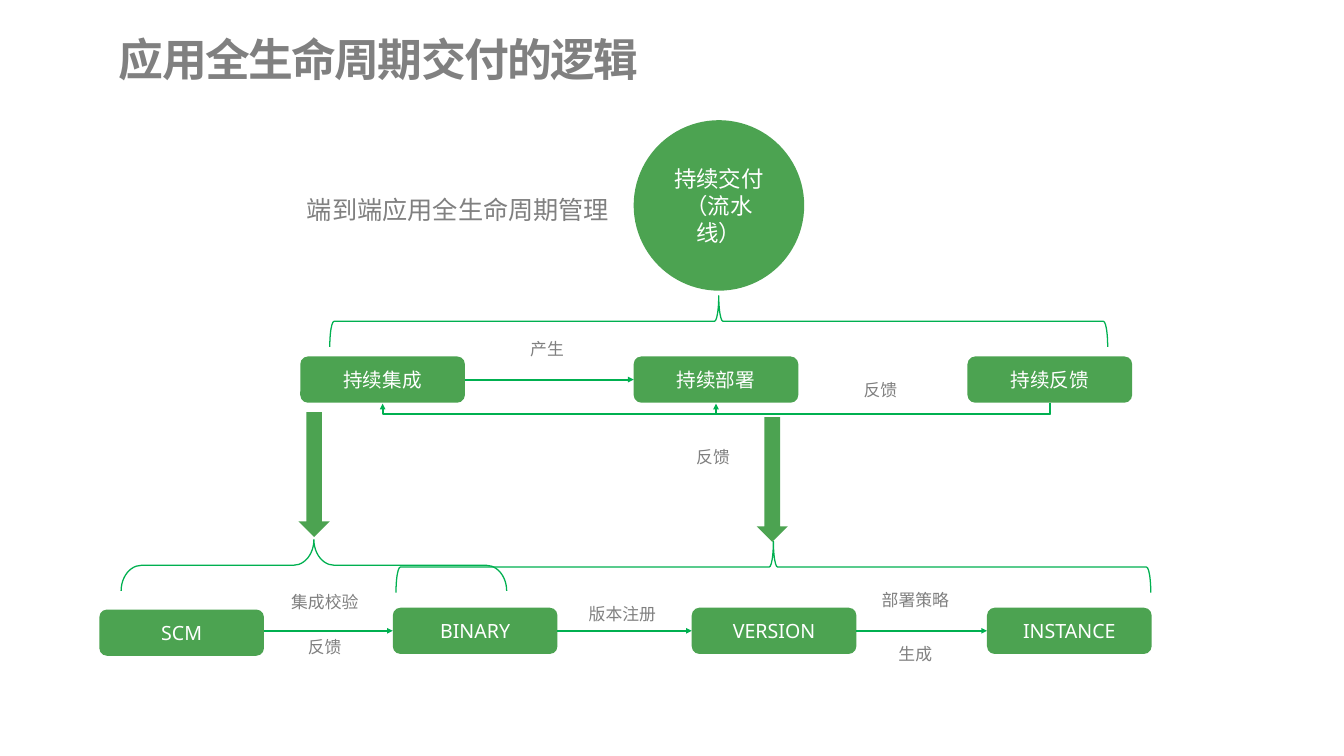
from lxml.etree import SubElement
from pptx import Presentation
from pptx.dml.color import RGBColor
from pptx.enum.shapes import MSO_CONNECTOR, MSO_SHAPE
from pptx.enum.text import MSO_ANCHOR, MSO_AUTO_SIZE, PP_ALIGN
from pptx.oxml.ns import qn
from pptx.util import Inches, Pt

GREEN_FILL = RGBColor(0x4C, 0xA3, 0x51)
GREEN_LINE = RGBColor(0x00, 0xB0, 0x50)
GREY = RGBColor(0x80, 0x80, 0x80)
WHITE = RGBColor(0xFF, 0xFF, 0xFF)
FONT = "Noto Sans"

BOX_WIDTH, BOX_HEIGHT = 3.63, 1.02
BRACE_DEPTH = 1.13
STAGE_TOP, ARTIFACT_TOP = 7.86, 13.4
STAGE_ARROW_Y, ARTIFACT_ARROW_Y = 8.37, 13.91


def add_run(paragraph, text, size, color, font=FONT):
    run = paragraph.add_run()
    run.text = text
    run.font.size = Pt(size)
    run.font.color.rgb = color
    run.font.name = font
    SubElement(run.font._element, qn("a:ea"), typeface=font)
    return run


def add_filled_shape(slide, kind, left, top, width, height, lines=(), size=31.1):
    shape = slide.shapes.add_shape(
        kind, Inches(left), Inches(top), Inches(width), Inches(height))
    shape.shadow.inherit = False
    shape.fill.solid()
    shape.fill.fore_color.rgb = GREEN_FILL
    shape.line.fill.background()
    frame = shape.text_frame
    frame.word_wrap = True
    frame.vertical_anchor = MSO_ANCHOR.MIDDLE
    for index, line in enumerate(lines):
        paragraph = frame.add_paragraph() if index else frame.paragraphs[0]
        paragraph.alignment = PP_ALIGN.CENTER
        add_run(paragraph, line, size, WHITE)


def add_box(slide, text, left, top):
    add_filled_shape(slide, MSO_SHAPE.ROUNDED_RECTANGLE, left, top,
                     BOX_WIDTH, BOX_HEIGHT, [text])


def add_text_box(slide, left, top, width, height):
    box = slide.shapes.add_textbox(
        Inches(left), Inches(top), Inches(width), Inches(height))
    box.text_frame.word_wrap = False
    box.text_frame.auto_size = MSO_AUTO_SIZE.SHAPE_TO_FIT_TEXT
    return box.text_frame


def add_label(slide, text, left, top):
    width = 0.2 + 0.38 * len(text)
    frame = add_text_box(slide, left, top, width, 0.56)
    add_run(frame.paragraphs[0], text, 26.7, GREY)


def add_brace(slide, left, top, length, curve=None):
    """Brace that opens downwards; left and top are its visible corner."""
    shape = slide.shapes.add_shape(
        MSO_SHAPE.LEFT_BRACE,
        Inches(left + (length - BRACE_DEPTH) / 2),
        Inches(top + (BRACE_DEPTH - length) / 2),
        Inches(BRACE_DEPTH), Inches(length))
    shape.rotation = 90
    shape.shadow.inherit = False
    shape.fill.background()
    shape.line.color.rgb = GREEN_LINE
    shape.line.width = Pt(2)
    if curve is not None:
        shape.adjustments[0] = curve


def add_connector(slide, kind, start_x, start_y, end_x, end_y):
    connector = slide.shapes.add_connector(
        kind, Inches(start_x), Inches(start_y), Inches(end_x), Inches(end_y))
    connector.line.color.rgb = GREEN_LINE
    connector.line.width = Pt(3)
    SubElement(connector.line._get_or_add_ln(), qn("a:tailEnd"), type="triangle")
    SubElement(connector._element.spPr, qn("a:effectLst"))
    return connector


def add_arrow(slide, start_x, end_x, y):
    add_connector(slide, MSO_CONNECTOR.STRAIGHT, start_x, y, end_x, y)


def add_feedback_arrow(slide, start_x, end_x, y):
    """Elbow that drops from one box and rises into a box to its left."""
    gap, drop = 0.02, 0.25
    middle_x, middle_y = (start_x + end_x) / 2, y + gap / 2
    half_span = (start_x - end_x) / 2
    connector = add_connector(
        slide, MSO_CONNECTOR.ELBOW, middle_x - gap / 2, middle_y - half_span,
        middle_x + gap / 2, middle_y + half_span)
    properties = connector._element.spPr
    properties.find(qn("a:xfrm")).set("rot", "5400000")
    geometry = properties.find(qn("a:prstGeom"))
    guides = geometry.find(qn("a:avLst"))
    if guides is None:
        guides = SubElement(geometry, qn("a:avLst"))
    SubElement(guides, qn("a:gd"), name="adj1",
               fmla=f"val {round(drop / gap * 100000)}")


def add_headings(slide):
    frame = add_text_box(slide, 2.32, 0.54, 12.69, 1.52)
    frame.word_wrap = True
    frame.vertical_anchor = MSO_ANCHOR.MIDDLE
    frame.margin_left = frame.margin_right = Inches(0.3)
    frame.margin_top = frame.margin_bottom = Inches(0.15)
    title = add_run(frame.paragraphs[0], "应用全生命周期交付的逻辑", 71.1, GREY)
    title.font.bold = True
    title.font._element.set("spc", "-250")

    subtitle = add_text_box(slide, 6.67, 4.24, 7.04, 0.79).paragraphs[0]
    for text, font in (("端到端应用全生命", "Arial"), ("周期", FONT), ("管理", "Arial")):
        add_run(subtitle, text, 40, GREY, font)


def add_delivery_stages(slide):
    add_filled_shape(slide, MSO_SHAPE.OVAL, 13.97, 2.65, 3.76, 3.76,
                     ["持续交付", "（流水线）"], 35.6)
    add_brace(slide, 7.27, 6.52, 17.15)

    stages = {"持续集成": 6.62, "持续部署": 13.97, "持续反馈": 21.33}
    for text, left in stages.items():
        add_box(slide, text, left, STAGE_TOP)
    integration, deployment, feedback = stages.values()
    add_arrow(slide, integration + BOX_WIDTH, deployment, STAGE_ARROW_Y)
    for target in (deployment, integration):
        add_feedback_arrow(slide, feedback + BOX_WIDTH / 2,
                           target + BOX_WIDTH / 2, STAGE_TOP + BOX_HEIGHT)

    for text, left, top in (("产生", 11.59, 7.43), ("反馈", 18.94, 8.33),
                            ("反馈", 15.25, 9.81)):
        add_label(slide, text, left, top)


def add_artifact_chain(slide):
    artifacts = {"SCM": 2.19, "BINARY": 8.66, "VERSION": 15.25, "INSTANCE": 21.76}
    for text, left in artifacts.items():
        top = ARTIFACT_TOP + (0.04 if text == "SCM" else 0)
        add_box(slide, text, left, top)
    lefts = list(artifacts.values())
    for left, next_left in zip(lefts, lefts[1:]):
        add_arrow(slide, left + BOX_WIDTH, next_left, ARTIFACT_ARROW_Y)

    for text, left, top in (("集成校验", 6.32, 12.99), ("反馈", 6.69, 13.99),
                            ("版本注册", 12.88, 13.26), ("部署策略", 19.34, 12.96),
                            ("生成", 19.71, 14.14)):
        add_label(slide, text, left, top)

    # Braces and the block arrows that lead down to them
    add_brace(slide, 2.67, 11.9, 8.5, 0.4)
    add_brace(slide, 8.73, 11.94, 16.64)
    for left, top in ((6.58, 9.09), (16.68, 9.2)):
        add_filled_shape(slide, MSO_SHAPE.DOWN_ARROW, left, top, 0.69, 2.75)


def main():
    presentation = Presentation()
    presentation.slide_width = Inches(29.63)
    presentation.slide_height = Inches(16.67)
    slide = presentation.slides.add_slide(presentation.slide_layouts[6])
    add_headings(slide)
    add_delivery_stages(slide)
    add_artifact_chain(slide)
    presentation.save("out.pptx")


if __name__ == "__main__":
    main()
